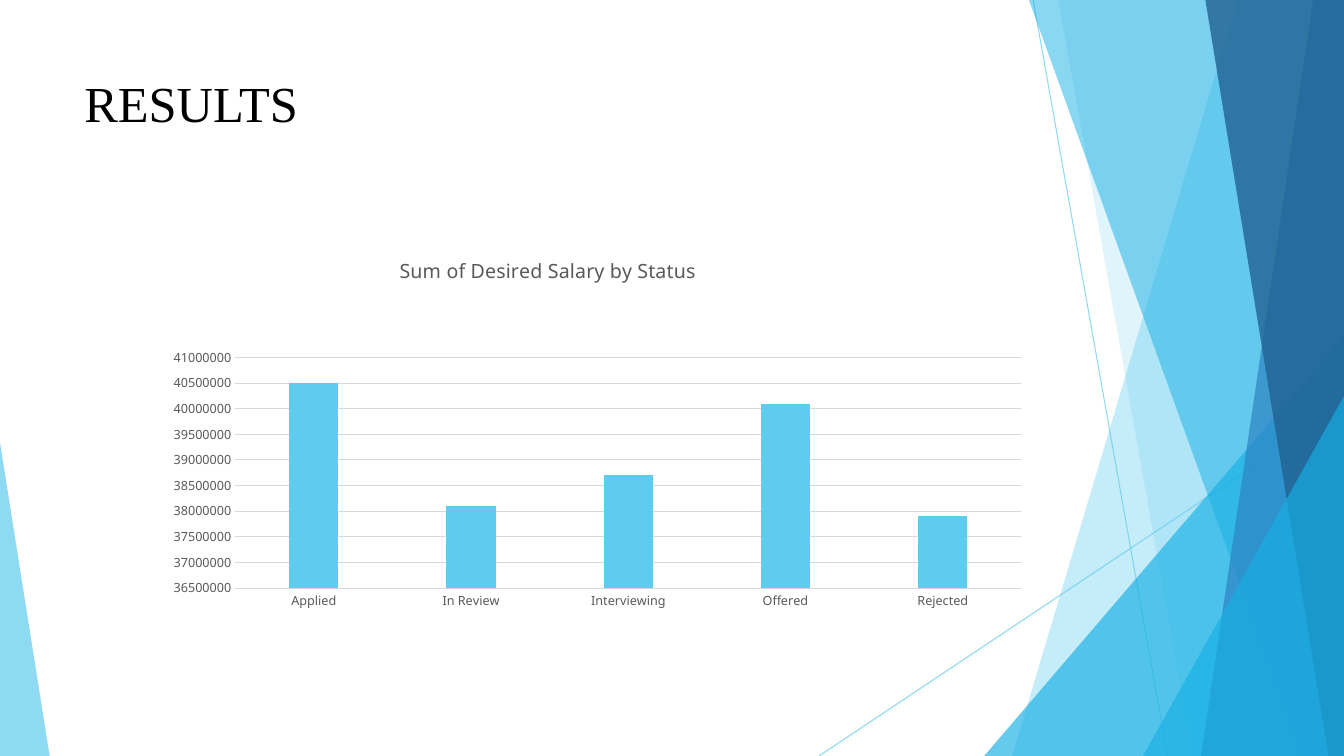
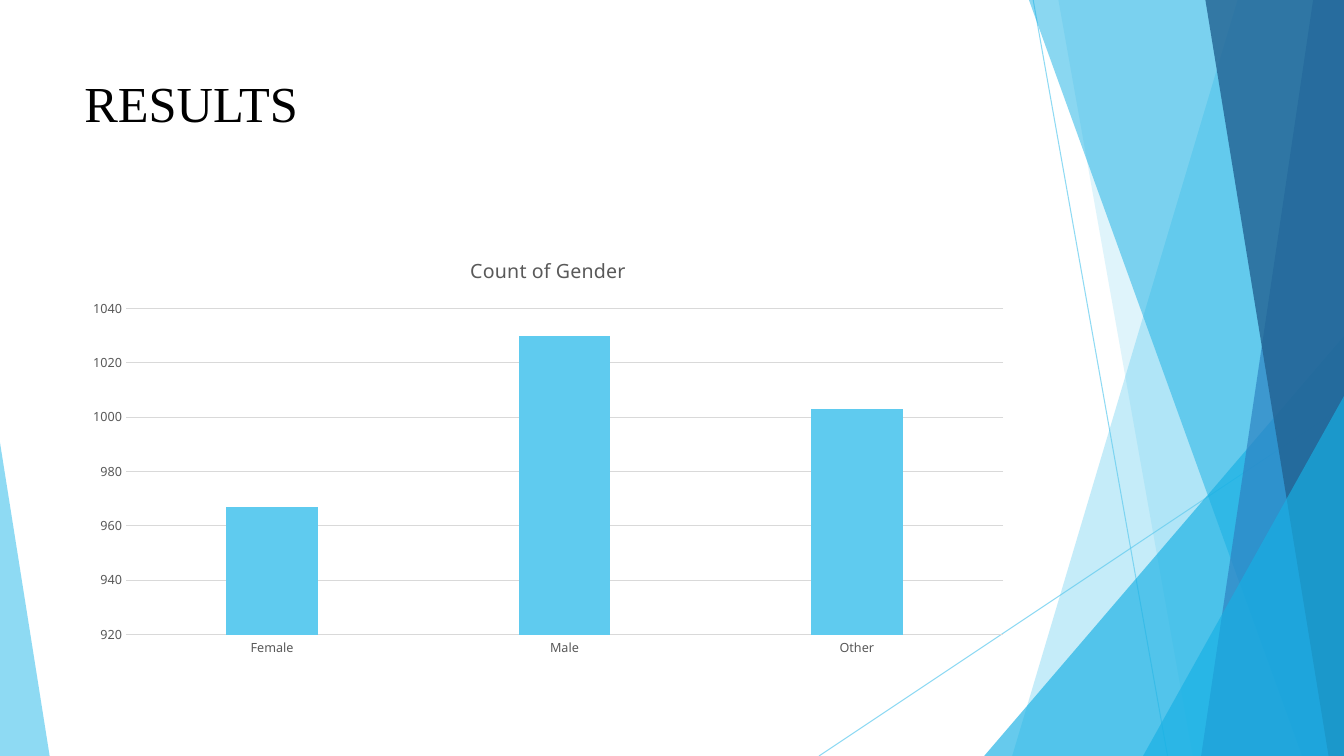
from dataclasses import dataclass

from lxml.etree import SubElement as Sub
from pptx import Presentation
from pptx.chart.data import CategoryChartData as Data
from pptx.dml.color import RGBColor as Rgb
from pptx.enum.chart import XL_CHART_TYPE as Kind, XL_TICK_MARK as Tick
from pptx.enum.shapes import MSO_CONNECTOR as Link, MSO_SHAPE as Form
from pptx.enum.text import MSO_ANCHOR as Anchor, PP_ALIGN as Align
from pptx.oxml.ns import qn
from pptx.util import Pt


@dataclass(frozen=True)
class Theme:
    sky: str = "5FCBEF"
    cyan: str = "17B0E4"
    blue: str = "2E83C3"
    navy: str = "226292"
    black: str = "000000"
    gray: str = "595959"
    grid: str = "D9D9D9"
    serif: str = "Times New Roman"
    sans: str = "Noto Sans"
    head: int = 36
    label: int = 14
    small: int = 9
    line: float = 0.75


T = Theme()
WIDE, HIGH = 960, 540
TITLE = (53, 48, 677, 104)
CHART = (53, 170, 677, 305)

# Backdrop parts, from back to front
LINES = [((738, 0), (834, HIGH)), ((WIDE, 290), (585, HIGH))]
# Band: x at top, x at foot, colour, opacity
# Wedge: left, top, width, apex side, colour, opacity
PARTS = [
    ("band", 884, 723, T.sky, 36),
    ("band", 756, 852, T.sky, 20),
    ("wedge", 703, 240, 257, 1, T.cyan, 66),
    ("band", 735, 930, T.cyan, 50),
    ("band", 938, 858, T.blue, 70),
    ("band", 861, 949, T.navy, 80),
    ("wedge", 816.5, 283, 143.5, 1, T.cyan, 66),
    ("wedge", 0, 316, 35.5, 0, T.sky, 70),
]

# Chart title, categories, values, axis low, high and step, plot area
CHARTS = [
    ("Sum of Desired Salary by Status",
     ["Applied", "In Review", "Interviewing", "Offered", "Rejected"],
     [40500000, 38100000, 38700000, 40100000, 37900000],
     (36500000, 41000000, 500000), (0.17, 0.28, 0.83, 0.54)),
    ("Count of Gender", ["Female", "Male", "Other"], [967, 1030, 1003],
     (920, 1040, 20), None),
]


def put(item, **vals):
    for name, val in vals.items():
        setattr(item, name, val)


def place(item, box):
    put(item, **dict(zip(("left", "top", "width", "height"), map(Pt, box))))


def ink(font, face, size, color):
    put(font, name=face, size=Pt(size), bold=False)
    font.color.rgb = Rgb.from_string(color)


def stroke(line, color):
    line.width = Pt(T.line)
    line.color.rgb = Rgb.from_string(color)


def fade(item, share):
    for color in item.element.iter(qn("a:srgbClr")):
        Sub(color, qn("a:alpha"), val=str(share * 1000))


def paint(shape, color, share):
    shape.shadow.inherit = False
    shape.fill.solid()
    shape.fill.fore_color.rgb = Rgb.from_string(color)
    shape.line.fill.background()
    fade(shape, share)


def ray(shapes, start, end):
    line = shapes.add_connector(Link.STRAIGHT, *map(Pt, start + end))
    stroke(line.line, T.sky)
    Sub(line.element.spPr, qn("a:effectLst"))
    fade(line, 70)


def band(shapes, top, foot, color, share):
    path = shapes.build_freeform(Pt(top), 0)
    path.add_line_segments([(Pt(WIDE), 0), (Pt(WIDE), Pt(HIGH)),
                            (Pt(foot), Pt(HIGH))])
    paint(path.convert_to_shape(), color, share)


def wedge(shapes, left, top, width, apex, color, share):
    box = map(Pt, (left, top, width, HIGH - top))
    shape = shapes.add_shape(Form.ISOSCELES_TRIANGLE, *box)
    shape.adjustments[0] = apex
    paint(shape, color, share)


def backdrop(slide):
    """Draw the shared backdrop and move it to the slide master."""
    group = slide.shapes.add_group_shape()
    for start, end in LINES:
        ray(group.shapes, start, end)
    draw = {"band": band, "wedge": wedge}
    for kind, *spec in PARTS:
        draw[kind](group.shapes, *spec)
    for num, node in enumerate(group.element.iter(qn("p:cNvPr")), 100):
        node.set("id", str(num))
    slide.slide_layout.slide_master.shapes.element.insert(2, group.element)


def head(slide, text):
    title = slide.shapes.title
    place(title, TITLE)
    frame = title.text_frame
    frame.text = text
    put(frame, vertical_anchor=Anchor.TOP, word_wrap=True)
    para = frame.paragraphs[0]
    para.alignment = Align.LEFT
    ink(para.runs[0].font, T.serif, T.head, T.black)


def inset(chart, area):
    """Fix the inner plot area as shares of the chart."""
    plot = chart.element.find(".//" + qn("c:plotArea"))
    layout = plot.find(qn("c:layout"))
    if layout is None:
        layout = Sub(plot, qn("c:layout"))
        plot.insert(0, layout)
    manual = Sub(layout, qn("c:manualLayout"))
    marks = [("layoutTarget", "inner"), ("xMode", "edge"), ("yMode", "edge")]
    for tag, val in marks + list(zip("xywh", area)):
        Sub(manual, qn("c:" + tag), val=str(val))


def bars(slide, text, cats, vals, scale, area):
    data = Data()
    data.categories = cats
    data.add_series("Series 1", vals)
    chart = slide.shapes.add_chart(
        Kind.COLUMN_CLUSTERED, *map(Pt, CHART), data).chart
    put(chart, has_legend=False, has_title=True)
    ink(chart.font, T.sans, T.small, T.gray)
    # Title
    frame = chart.chart_title.text_frame
    frame.text = text
    ink(frame.paragraphs[0].runs[0].font, T.sans, T.label, T.gray)
    # Columns
    plot = chart.plots[0]
    put(plot, gap_width=219, overlap=-27, vary_by_categories=False)
    fill = plot.series[0].format.fill
    fill.solid()
    fill.fore_color.rgb = Rgb.from_string(T.sky)
    # Axes
    cat, val = chart.category_axis, chart.value_axis
    for axis in (cat, val):
        put(axis, major_tick_mark=Tick.NONE, minor_tick_mark=Tick.NONE)
        ink(axis.tick_labels.font, T.sans, T.small, T.gray)
    low, high, step = scale
    put(val, minimum_scale=low, maximum_scale=high, major_unit=step)
    put(val.tick_labels, number_format="General",
        number_format_is_linked=False)
    stroke(cat.format.line, T.grid)
    stroke(val.major_gridlines.format.line, T.grid)
    val.format.line.fill.background()
    if area:
        inset(chart, area)


def main():
    deck = Presentation()
    put(deck, slide_width=Pt(WIDE), slide_height=Pt(HIGH))
    slides = [deck.slides.add_slide(deck.slide_layouts[5]) for _ in CHARTS]
    backdrop(slides[0])
    for slide, chart in zip(slides, CHARTS):
        head(slide, "RESULTS")
        bars(slide, *chart)
    deck.save("out.pptx")


if __name__ == "__main__":
    main()
